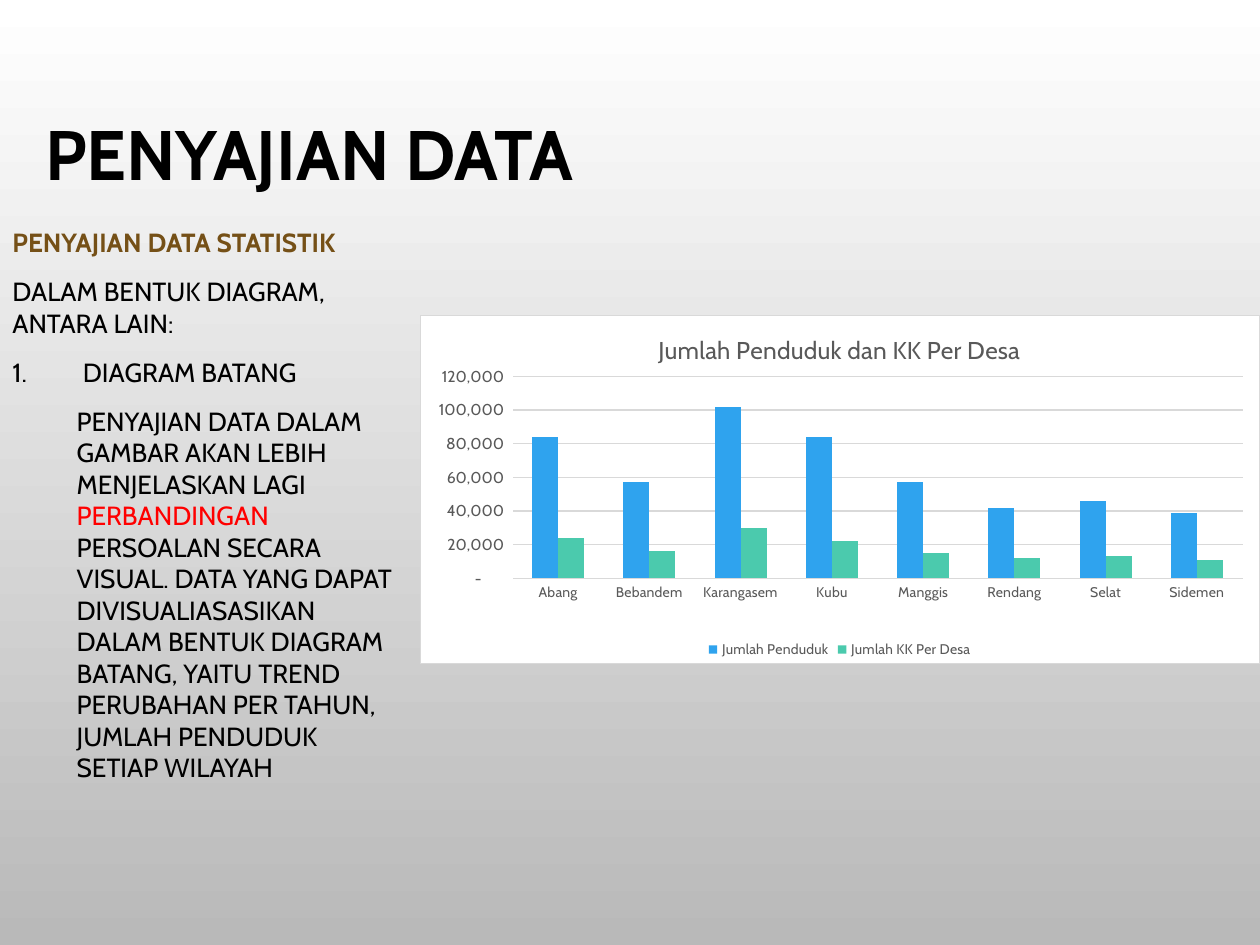
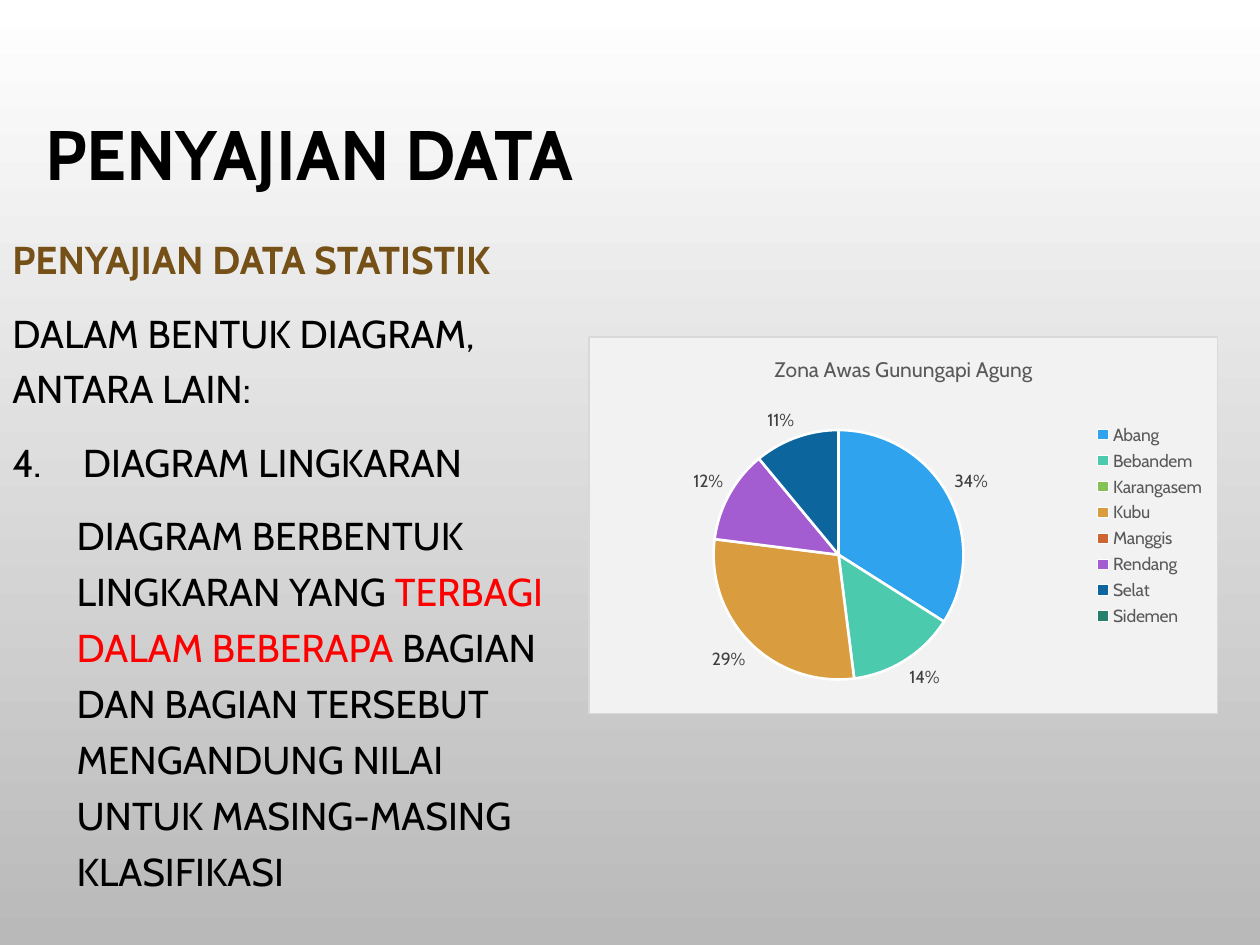
"""Build two slides on presenting statistical data, one with a column chart and one with a pie chart."""
from lxml.etree import SubElement
from pptx import Presentation
from pptx.chart.data import CategoryChartData
from pptx.dml.color import RGBColor
from pptx.enum.chart import XL_CHART_TYPE, XL_LABEL_POSITION, XL_LEGEND_POSITION, XL_TICK_MARK
from pptx.enum.text import MSO_ANCHOR
from pptx.oxml import parse_xml
from pptx.oxml.ns import nsdecls, qn
from pptx.util import Inches, Pt

COLORS = {
    "text": "000000", "heading": "755017", "accent": "FF0000",
    "top": "FFFFFF", "bottom": "B9B9B9", "white": "FFFFFF",
    "panel": "F2F2F2", "rule": "D9D9D9", "muted": "595959", "label": "404040",
}
PALETTE = ["2FA3EE", "4BCAAD", "86C157", "D99C3F", "CE6633", "A35DD1", "0D659E", "26806C"]
FONT = "Cabin"
DISTRICTS = ["Abang", "Bebandem", "Karangasem", "Kubu", "Manggis", "Rendang", "Selat", "Sidemen"]
TITLE_BOX = (0.026, 0.084, 0.9, 0.167)

TOPICS = [
    {
        "size": 15, "spacing": 1.0, "body": (0, 0.233, 0.325, 0.66),
        "number": 1, "item": "DIAGRAM BATANG",
        "detail": [
            ("PENYAJIAN DATA DALAM GAMBAR AKAN LEBIH MENJELASKAN LAGI ", "text"),
            ("PERBANDINGAN ", "accent"),
            ("PERSOALAN SECARA VISUAL. DATA YANG DAPAT DIVISUALIASASIKAN DALAM BENTUK "
             "DIAGRAM BATANG, YAITU TREND PERUBAHAN PER TAHUN, JUMLAH PENDUDUK SETIAP WILAYAH", "text"),
        ],
        "type": XL_CHART_TYPE.COLUMN_CLUSTERED, "area": (0.333, 0.333, 0.667, 0.37),
        "chart_title": "Jumlah Penduduk dan KK Per Desa", "title_size": 14, "fill": "white",
        "legend": XL_LEGEND_POSITION.BOTTOM, "legend_size": 8,
        "series": {
            "Jumlah Penduduk": [84000, 57000, 102000, 84000, 57000, 42000, 46000, 39000],
            "Jumlah KK Per Desa": [24000, 16000, 30000, 22000, 15000, 12000, 13000, 11000],
        },
    },
    {
        "size": 22.2, "spacing": 1.2, "body": (0, 0.233, 0.467, 0.66),
        "number": 4, "item": "DIAGRAM LINGKARAN",
        "detail": [
            ("DIAGRAM BERBENTUK LINGKARAN YANG ", "text"),
            ("TERBAGI DALAM BEBERAPA ", "accent"),
            ("BAGIAN DAN BAGIAN TERSEBUT MENGANDUNG NILAI UNTUK MASING-MASING KLASIFIKASI", "text"),
        ],
        "type": XL_CHART_TYPE.PIE, "area": (0.467, 0.356, 0.5, 0.4),
        "chart_title": "Zona Awas Gunungapi Agung", "title_size": 12, "fill": "panel",
        "legend": XL_LEGEND_POSITION.RIGHT, "legend_size": 10,
        "series": {"Series 1": [34, 14, 0, 29, 0, 12, 11, 0]},
    },
]

presentation = Presentation()
presentation.slide_width, presentation.slide_height = Inches(10), Inches(7.5)


def place(left, top, width, height):
    """Turn shares of the slide into lengths."""
    across, down = presentation.slide_width, presentation.slide_height
    return int(left * across), int(top * down), int(width * across), int(height * down)


def style(font, size, color, bold=False):
    """Set the shared typeface with a size, colour and weight."""
    font.name, font.size, font.bold = FONT, Pt(size), bold
    font.color.rgb = RGBColor.from_string(COLORS[color])


charts = []
for topic in TOPICS:
    slide = presentation.slides.add_slide(presentation.slide_layouts[6])
    background = slide.background.fill
    background.gradient()
    background.gradient_angle = 270
    for stop, color in zip(background.gradient_stops, ("top", "bottom")):
        stop.color.rgb = RGBColor.from_string(COLORS[color])

    title = slide.shapes.add_textbox(*place(*TITLE_BOX)).text_frame
    title.word_wrap = True
    title.vertical_anchor = MSO_ANCHOR.MIDDLE
    paragraph = title.paragraphs[0]
    paragraph.text = "PENYAJIAN DATA"
    paragraph.line_spacing = 0.9
    style(paragraph.font, 40, "text", True)

    body = slide.shapes.add_textbox(*place(*topic["body"])).text_frame
    body.word_wrap = True
    lines = [
        ([("PENYAJIAN DATA STATISTIK", "heading")], 0, 0),
        ([("DALAM BENTUK DIAGRAM, ANTARA LAIN:", "text")], 0, 0),
        ([(topic["item"], "text")], 0.56, -0.56),
        (topic["detail"], 0.51, 0),
    ]
    for index, (runs, margin, indent) in enumerate(lines):
        paragraph = body.add_paragraph() if index else body.paragraphs[0]
        paragraph.line_spacing = topic["spacing"]
        if index:
            paragraph.space_before = Pt(10)
        properties = paragraph._p.get_or_add_pPr()
        properties.set("marL", str(Inches(margin)))
        properties.set("indent", str(Inches(indent)))
        if indent:
            bullet_color = SubElement(properties, qn("a:buClr"))
            SubElement(bullet_color, qn("a:srgbClr"), val=COLORS["text"])
            SubElement(properties, qn("a:buAutoNum"), type="arabicPeriod", startAt=str(topic["number"]))
        style(paragraph.font, topic["size"], runs[0][1], index == 0)
        for text, color in runs:
            run = paragraph.add_run()
            run.text = text
            if len(runs) > 1:
                run.font.color.rgb = RGBColor.from_string(COLORS[color])

    chart_data = CategoryChartData()
    chart_data.categories = DISTRICTS
    for name, values in topic["series"].items():
        chart_data.add_series(name, values)
    chart = slide.shapes.add_chart(topic["type"], *place(*topic["area"]), chart_data).chart
    style(chart.font, 10, "text")
    chart.has_title = True
    chart.chart_title.include_in_layout = False
    heading = chart.chart_title.text_frame
    heading.text = topic["chart_title"]
    style(heading.paragraphs[0].font, topic["title_size"], "muted")
    chart.has_legend = True
    chart.legend.position = topic["legend"]
    chart.legend.include_in_layout = False
    style(chart.legend.font, topic["legend_size"], "muted")
    chart.element.find(qn("c:chart")).addnext(parse_xml(
        f'<c:spPr {nsdecls("c", "a")}>'
        f'<a:solidFill><a:srgbClr val="{COLORS[topic["fill"]]}"/></a:solidFill>'
        f'<a:ln w="{Pt(0.75)}"><a:solidFill><a:srgbClr val="{COLORS["rule"]}"/></a:solidFill></a:ln>'
        '</c:spPr>'))
    charts.append(chart)

column_chart, pie_chart = charts

columns = column_chart.plots[0]
columns.vary_by_categories = False
columns.gap_width, columns.overlap = 150, 0
for series, color in zip(columns.series, PALETTE):
    series.format.fill.solid()
    series.format.fill.fore_color.rgb = RGBColor.from_string(color)
for axis, size in ((column_chart.category_axis, 8), (column_chart.value_axis, 9)):
    axis.major_tick_mark = axis.minor_tick_mark = XL_TICK_MARK.NONE
    axis.format.line.fill.background()
    style(axis.tick_labels.font, size, "muted")
value_axis = column_chart.value_axis
value_axis.minimum_scale, value_axis.maximum_scale, value_axis.major_unit = 0, 120000, 20000
value_axis.tick_labels.number_format = r'_(* #,##0_);_(* \(#,##0\);_(* "-"??_);_(@_)'
value_axis.tick_labels.number_format_is_linked = False
gridline = value_axis.major_gridlines.format.line
gridline.width = Pt(0.75)
gridline.color.rgb = RGBColor.from_string(COLORS["rule"])

plot_area = column_chart.element.find(".//" + qn("c:plotArea"))
for old_layout in plot_area.findall(qn("c:layout")):
    plot_area.remove(old_layout)
plot_area.insert(0, parse_xml(
    f'<c:layout {nsdecls("c")}><c:manualLayout><c:layoutTarget val="inner"/>'
    '<c:xMode val="edge"/><c:yMode val="edge"/><c:x val="0.11"/><c:y val="0.175"/>'
    '<c:w val="0.87"/><c:h val="0.58"/></c:manualLayout></c:layout>'))

pie = pie_chart.plots[0]
pie.vary_by_categories = True
zones = pie.series[0]
for index, color in enumerate(PALETTE):
    slice_format = zones.points[index].format
    slice_format.fill.solid()
    slice_format.fill.fore_color.rgb = RGBColor.from_string(color)
    slice_format.line.width = Pt(1.5)
    slice_format.line.color.rgb = RGBColor.from_string(COLORS["white"])
labels = zones.data_labels
labels.show_percentage, labels.show_value = True, False
labels.number_format, labels.number_format_is_linked = "0%", False
labels.position = XL_LABEL_POSITION.OUTSIDE_END
style(labels.font, 10, "label")
empty_zones = [index for index, value in enumerate(zones.values) if value == 0]
for order, index in enumerate(empty_zones):
    labels._element.insert(order, parse_xml(
        f'<c:dLbl {nsdecls("c")}><c:idx val="{index}"/><c:delete val="1"/></c:dLbl>'))

presentation.save("out.pptx")
